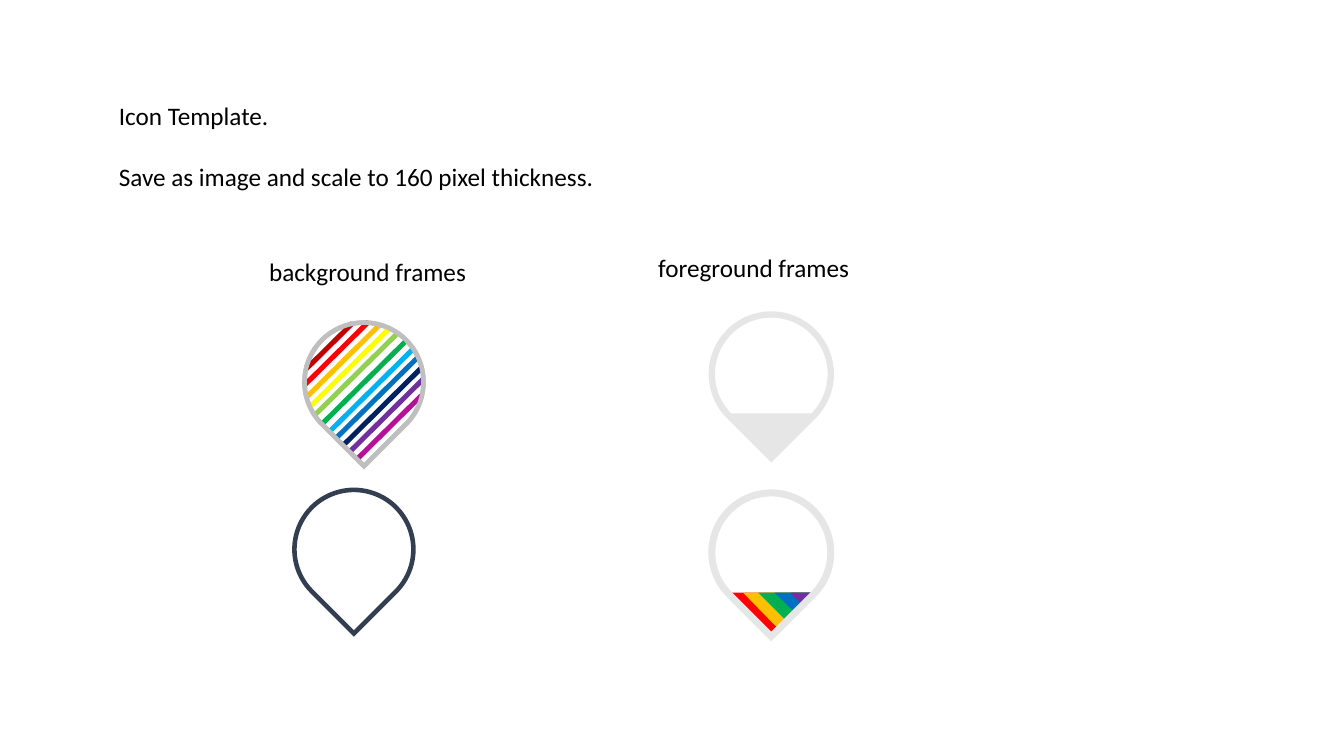
import pptx
import pptx.util
import pptx.enum.shapes
import pptx.dml.color
import pptx.oxml.ns
import lxml.etree

Inches = pptx.util.Inches
Pt = pptx.util.Pt
SHAPES = pptx.enum.shapes.MSO_SHAPE
COLORS = {
    "black": "000000", "white": "FFFFFF", "pale gray": "E7E6E6",
    "gray": "BFBFBF", "slate": "333F50", "magenta": "B70F97",
    "purple": "7030A0", "navy": "002060", "blue": "0070C0",
    "sky": "00B0F0", "green": "00B050", "lime": "92D050",
    "yellow": "FFFF00", "orange": "FFC000", "red": "FF0000",
    "dark red": "C00000",
}

deck = pptx.Presentation()
deck.slide_width = Inches(13.33)
deck.slide_height = Inches(7.5)
page = deck.slides.add_slide(deck.slide_layouts[6])


def add_text(text, left, top, width, height, size=18, color="black", gap=0):
    box = page.shapes.add_textbox(Inches(left), Inches(top), Inches(width), Inches(height))
    frame = box.text_frame
    frame.word_wrap = True
    frame.margin_right = 0
    for index, line in enumerate(text.split("\n")):
        para = frame.paragraphs[0] if index == 0 else frame.add_paragraph()
        para.space_before = Pt(gap if index else 0)
        span = para.add_run()
        span.text = line
        span.font.name = "Calibri"
        span.font.size = Pt(size)
        span.font.color.rgb = pptx.dml.color.RGBColor.from_string(COLORS[color])


def add_piece(kind, left, top, width, height, rotation, fill=None, line=None, weight=0):
    shape = page.shapes.add_shape(kind, Inches(left), Inches(top), Inches(width), Inches(height))
    shape.rotation = rotation
    shape.shadow.inherit = False
    for target, color in ((shape.fill, fill), (shape.line.fill, line)):
        if color:
            target.solid()
            target.fore_color.rgb = pptx.dml.color.RGBColor.from_string(COLORS[color])
        else:
            target.background()
    if line:
        shape.line.width = Pt(weight)
        outline = shape.element.spPr.find(pptx.oxml.ns.qn("a:ln"))
        miter = lxml.etree.SubElement(outline, pptx.oxml.ns.qn("a:miter"))
        miter.set("lim", "800000")
    return shape


add_text("Icon Template.\nSave as image and scale to 160 pixel thickness.",
         left=1.08, top=0.95, width=5.02, height=1.01, gap=22)
add_text("background frames", left=2.57, top=2.49, width=2.18, height=0.4)
add_text("foreground frames", left=6.43, top=2.45, width=2.12, height=0.4)

pin_size = 1.18
add_piece(SHAPES.TEAR, 3.02, 3.2, pin_size, pin_size, 135, fill="white", line="gray", weight=3.25)
stripes = [
    ("magenta", 3.83, 3.79, 0.91), ("purple", 3.81, 3.61, 1.02),
    ("navy", 3.76, 3.49, 1.1), ("blue", 3.71, 3.38, 1.14),
    ("sky", 3.65, 3.29, 1.18), ("green", 3.59, 3.2, 1.18),
    ("lime", 3.51, 3.13, 1.16), ("yellow", 3.45, 3.09, 1.1),
    ("orange", 3.38, 3.07, 1.02), ("red", 3.31, 3.06, 0.9),
    ("dark red", 3.24, 3.11, 0.65),
]
for color, left, top, length in stripes:
    add_piece(SHAPES.RECTANGLE, left, top, 0.05, length, 45.3, fill=color)

tips = [
    ("pale gray", 7.18, 4.1, 0.94, 0.43, 0.5),
    ("red", 7.19, 5.88, 0.93, 0.43, 0.5),
    ("orange", 7.37, 5.88, 0.71, 0.35, 0.52),
    ("green", 7.52, 5.88, 0.55, 0.28, 0.49),
    ("blue", 7.68, 5.88, 0.4, 0.2, 0.48),
    ("purple", 7.84, 5.88, 0.23, 0.12, 0.5),
]
for color, left, top, width, height, apex in tips:
    tip = add_piece(SHAPES.ISOSCELES_TRIANGLE, left, top, width, height, 180, fill=color)
    tip.adjustments[0] = apex

pins = [
    (3.02, 3.2, None, "gray", 3.25),
    (2.92, 4.86, "white", "slate", 3.25),
    (7.06, 3.12, None, "pale gray", 4.5),
    (7.06, 4.89, None, "pale gray", 5),
]
for left, top, fill, line, weight in pins:
    add_piece(SHAPES.TEAR, left, top, pin_size, pin_size, 135, fill=fill, line=line, weight=weight)

deck.save("out.pptx")
